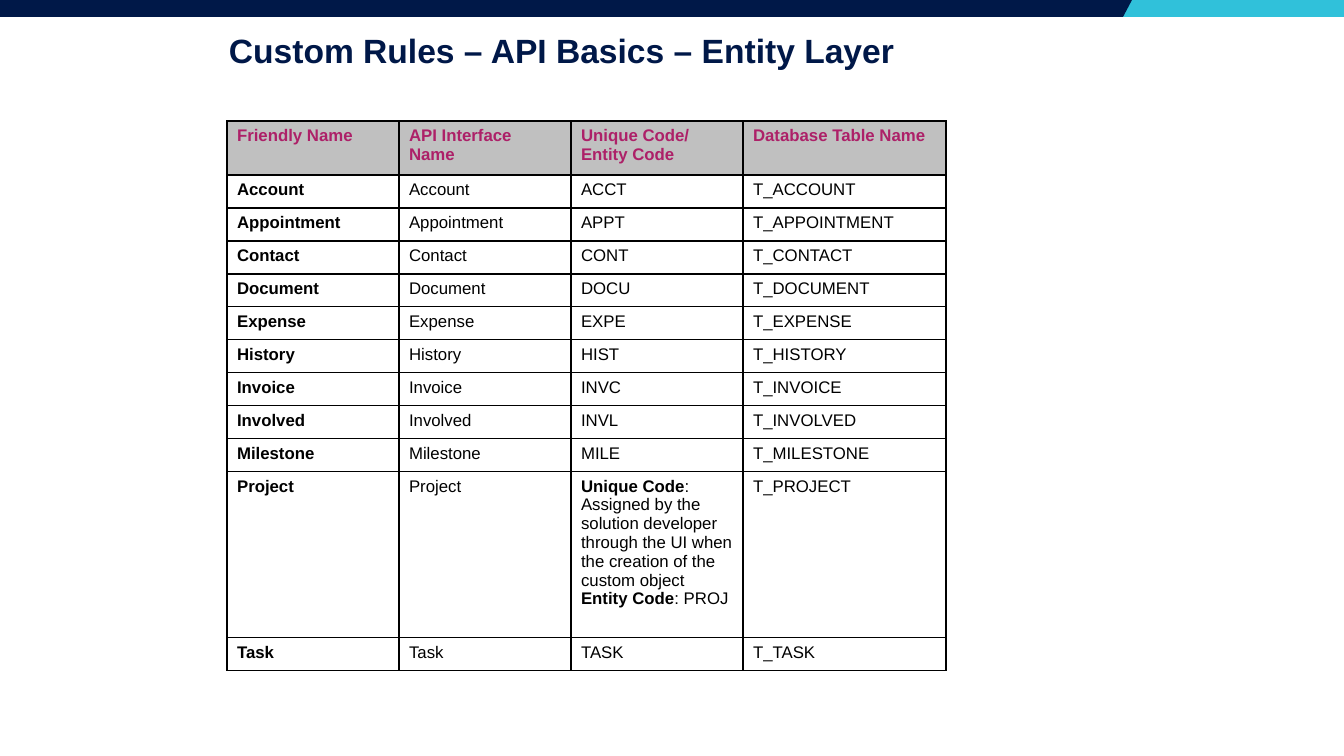
from dataclasses import dataclass

from lxml import etree
from pptx import Presentation
from pptx.dml.color import RGBColor
from pptx.enum.shapes import MSO_SHAPE
from pptx.enum.text import MSO_ANCHOR
from pptx.oxml.ns import qn
from pptx.util import Emu, Pt

RECTANGLE = MSO_SHAPE.RECTANGLE
TOP = MSO_ANCHOR.TOP
EMU_PER_PX = 914400 / 100.8


@dataclass(frozen=True)
class Theme:
    font: str = "Arial"
    navy: str = "001848"
    cyan: str = "30C1DA"
    magenta: str = "AD2068"
    black: str = "000000"
    white: str = "FFFFFF"
    silver: str = "C0C0C0"
    title_pt: int = 24
    table_pt: int = 12
    border_pt: int = 1


@dataclass(frozen=True)
class Phrase:
    text: str
    bold: bool = False


@dataclass(frozen=True)
class Entity:
    name: str
    code: str

    @property
    def table_name(self) -> str:
        return f"T_{self.name.upper()}"


Paragraphs = list[list[Phrase]]

THEME = Theme()
SLIDE_WIDTH, SLIDE_HEIGHT = 1344, 756
BAND_HEIGHT = 17
TABLE_LEFT, TABLE_TOP = 227, 121
COLUMN_WIDTHS = [172, 172, 172, 203]
HEADER_HEIGHT, ROW_HEIGHT, PROJECT_HEIGHT = 54, 33, 166

HEADINGS = ["Friendly Name", "API Interface Name",
            "Unique Code/ Entity Code", "Database Table Name"]
ENTITIES = [
    Entity("Account", "ACCT"),
    Entity("Appointment", "APPT"),
    Entity("Contact", "CONT"),
    Entity("Document", "DOCU"),
    Entity("Expense", "EXPE"),
    Entity("History", "HIST"),
    Entity("Invoice", "INVC"),
    Entity("Involved", "INVL"),
    Entity("Milestone", "MILE"),
    Entity("Project", "PROJ"),
    Entity("Task", "TASK"),
]
PROJECT_CODES = [
    [Phrase("Unique Code", True),
     Phrase(": Assigned by the solution developer through the UI "
            "when the creation of the custom object")],
    [Phrase("Entity Code", True), Phrase(": PROJ")],
]


def px(length: int) -> Emu:
    return Emu(round(length * EMU_PER_PX))


def paint(shape, colour: str) -> None:
    shape.shadow.inherit = False
    shape.fill.solid()
    shape.fill.fore_color.rgb = RGBColor.from_string(colour)
    shape.line.fill.background()


def write(frame, paragraphs: Paragraphs, size: int, colour: str) -> None:
    frame.word_wrap = True
    for index, phrases in enumerate(paragraphs):
        paragraph = frame.add_paragraph() if index else frame.paragraphs[0]
        for phrase in phrases:
            run = paragraph.add_run()
            run.text = phrase.text
            formats = {"name": THEME.font, "size": Pt(size), "bold": phrase.bold}
            for attribute, value in formats.items():
                setattr(run.font, attribute, value)
            run.font.color.rgb = RGBColor.from_string(colour)


def add_borders(cell) -> None:
    """Put a solid line on all four sides, ahead of the cell's fill."""
    properties = cell._tc.get_or_add_tcPr()
    for position, side in enumerate(("a:lnL", "a:lnR", "a:lnT", "a:lnB")):
        line = etree.Element(qn(side), w=str(Pt(THEME.border_pt)))
        fill = etree.SubElement(line, qn("a:solidFill"))
        etree.SubElement(fill, qn("a:srgbClr"), val=THEME.black)
        properties.insert(position, line)


def fill_cell(cell, paragraphs: Paragraphs, colour: str, background: str) -> None:
    write(cell.text_frame, paragraphs, THEME.table_pt, colour)
    cell.fill.solid()
    cell.fill.fore_color.rgb = RGBColor.from_string(background)
    add_borders(cell)


def add_top_band(slide) -> None:
    paint(slide.shapes.add_shape(RECTANGLE, 0, 0, px(SLIDE_WIDTH), px(BAND_HEIGHT)),
          THEME.cyan)
    outline = slide.shapes.build_freeform(0, 0, scale=EMU_PER_PX)
    outline.add_line_segments([(1132, 0), (1123, BAND_HEIGHT), (0, BAND_HEIGHT)])
    paint(outline.convert_to_shape(), THEME.navy)


def add_title(slide) -> None:
    title = slide.shapes.add_textbox(px(219), px(30), px(803), px(58)).text_frame
    title.vertical_anchor = TOP
    write(title, [[Phrase("Custom Rules – API Basics – Entity Layer", True)]],
          THEME.title_pt, THEME.navy)
    title.paragraphs[0].line_spacing = 0.9


def entity_cells(entity: Entity) -> list[Paragraphs]:
    codes = PROJECT_CODES if entity.name == "Project" else [[Phrase(entity.code)]]
    return [[[Phrase(entity.name, True)]], [[Phrase(entity.name)]],
            codes, [[Phrase(entity.table_name)]]]


def add_entity_table(slide) -> None:
    heights = [HEADER_HEIGHT] + [
        PROJECT_HEIGHT if entity.name == "Project" else ROW_HEIGHT
        for entity in ENTITIES]
    table = slide.shapes.add_table(
        len(heights), len(COLUMN_WIDTHS), px(TABLE_LEFT), px(TABLE_TOP),
        px(sum(COLUMN_WIDTHS)), px(sum(heights))).table
    table.horz_banding = False
    for column, width in zip(table.columns, COLUMN_WIDTHS):
        column.width = px(width)
    for row, height in zip(table.rows, heights):
        row.height = px(height)

    header = [[[Phrase(heading, True)]] for heading in HEADINGS]
    contents = [header] + [entity_cells(entity) for entity in ENTITIES]
    for index, (row, texts) in enumerate(zip(table.rows, contents)):
        colour, background = ((THEME.black, THEME.white) if index
                              else (THEME.magenta, THEME.silver))
        for cell, paragraphs in zip(row.cells, texts):
            fill_cell(cell, paragraphs, colour, background)


def main() -> None:
    presentation = Presentation()
    presentation.slide_width = px(SLIDE_WIDTH)
    presentation.slide_height = px(SLIDE_HEIGHT)
    slide = presentation.slides.add_slide(presentation.slide_layouts[6])
    add_top_band(slide)
    add_title(slide)
    add_entity_table(slide)
    presentation.save("out.pptx")


if __name__ == "__main__":
    main()
